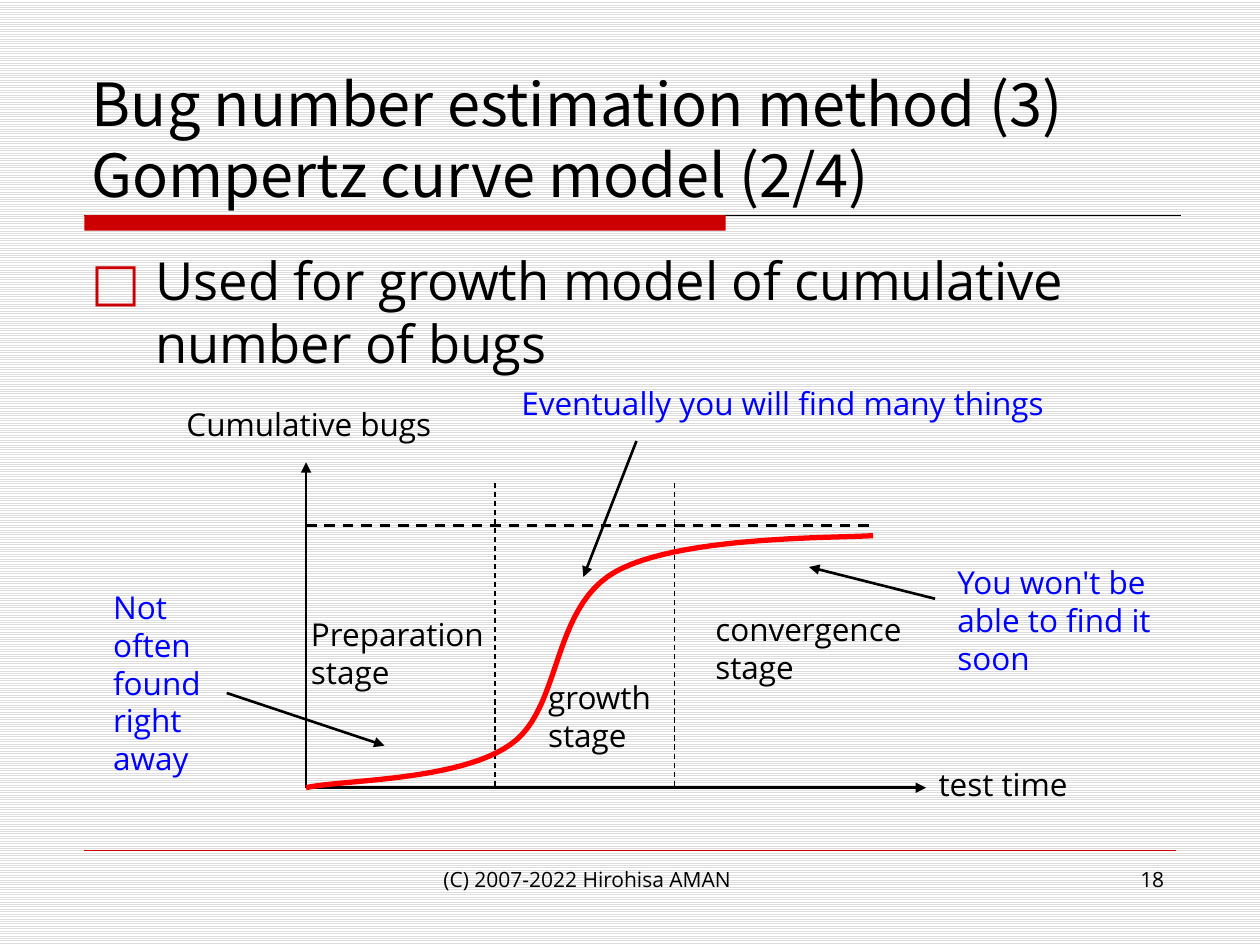
import pptx
import pptx.util
import pptx.dml.color
import pptx.enum.dml
import pptx.enum.shapes
import pptx.enum.text
import pptx.oxml
import pptx.oxml.ns

Cm, Pt = pptx.util.Cm, pptx.util.Pt
RGBColor = pptx.dml.color.RGBColor
PP_ALIGN = pptx.enum.text.PP_ALIGN
ANCHOR = pptx.enum.text.MSO_ANCHOR

BLACK = RGBColor(0x00, 0x00, 0x00)
WHITE = RGBColor(0xFF, 0xFF, 0xFF)
STRIPE = RGBColor(0xDD, 0xDD, 0xDD)
CRIMSON = RGBColor(0xCC, 0x00, 0x00)
RED = RGBColor(0xFF, 0x00, 0x00)
BLUE = RGBColor(0x00, 0x00, 0xFF)
LINE_HEIGHT = 1.2


def format_text(tf, size, color=BLACK, font="Open Sans"):
    tf.word_wrap = True
    for p in tf.paragraphs:
        p.line_spacing = Pt(size * LINE_HEIGHT)
        for r in p.runs:
            r.font.name = font
            r.font.size = Pt(size)
            r.font.color.rgb = color


def add_line(x1, y1, x2, y2, width=1.5, color=BLACK, dashed=False, arrow=False):
    """Draw a straight line between two points in centimetres."""
    s = slide.shapes.add_connector(
        pptx.enum.shapes.MSO_CONNECTOR.STRAIGHT, Cm(x1), Cm(y1), Cm(x2), Cm(y2))
    s.line.width = Pt(width)
    s.line.color.rgb = color
    if dashed:
        s.line.dash_style = pptx.enum.dml.MSO_LINE.DASH
    if arrow:
        tail = pptx.oxml.parse_xml(
            f'<a:tailEnd {pptx.oxml.ns.nsdecls("a")} type="triangle"/>')
        s.line._get_or_add_ln().append(tail)
    s._element.spPr.append(
        pptx.oxml.parse_xml(f'<a:effectLst {pptx.oxml.ns.nsdecls("a")}/>'))


prs = pptx.Presentation()
prs.slide_width, prs.slide_height = Cm(25.4), Cm(19.05)
slide = prs.slides.add_slide(prs.slide_layouts[1])

fill = slide.background.fill
fill.patterned()
fill.pattern = pptx.enum.dml.MSO_PATTERN.LIGHT_HORIZONTAL
fill.fore_color.rgb = STRIPE
fill.back_color.rgb = WHITE

# Rules under the title and above the footer
add_line(1.7, 4.34, 23.8, 4.34, 0.5)
s = slide.shapes.add_shape(
    pptx.enum.shapes.MSO_SHAPE.RECTANGLE, Cm(1.7), Cm(4.34), Cm(12.93), Cm(0.31))
s.shadow.inherit = False
s.fill.solid()
s.fill.fore_color.rgb = CRIMSON
s.line.fill.background()
add_line(1.7, 17.15, 23.7, 17.15, 0.25, CRIMSON)

# Title
title = slide.shapes.title
title.left, title.top, title.width, title.height = Cm(1.6), Cm(0.84), Cm(22.23), Cm(3.38)
tf = title.text_frame
tf.text = "Bug number estimation method (3)\vGompertz curve model (2/4)"
tf.vertical_anchor = ANCHOR.BOTTOM
tf.margin_bottom = 0
tf.paragraphs[0].alignment = PP_ALIGN.LEFT
format_text(tf, 34, font="Noto Sans CJK JP")

# Body
body = slide.placeholders[1]
body.left, body.top, body.width, body.height = Cm(1.58), Cm(4.88), Cm(22.23), Cm(11.86)
tf = body.text_frame
tf.text = "Used for growth model of cumulative number of bugs"
format_text(tf, 30)
p = tf.paragraphs[0]
p.space_before = Pt(6)
pPr = p._p.get_or_add_pPr()
pPr.set("marL", str(Cm(1.3)))
pPr.set("indent", str(Cm(-1.3)))
for bullet in (f'<a:buClr {{}}><a:srgbClr val="{CRIMSON}"/></a:buClr>',
               '<a:buFont {} typeface="Open Sans"/>',
               '<a:buChar {} char="□"/>'):
    pPr.append(pptx.oxml.parse_xml(bullet.format(pptx.oxml.ns.nsdecls("a"))))

# Axes, upper limit and stage borders
ORIGIN_X, ORIGIN_Y = 6.17, 15.88
CURVE_END = 17.6
add_line(ORIGIN_X, ORIGIN_Y, ORIGIN_X, 9.32, arrow=True)
add_line(ORIGIN_X, ORIGIN_Y, 18.67, ORIGIN_Y, arrow=True)
add_line(ORIGIN_X, 10.59, CURVE_END, 10.59, dashed=True)
for x in (9.98, 13.59):
    add_line(x, 9.73, x, ORIGIN_Y, 0.75, dashed=True)

# Gompertz curve: three Bezier segments, each sampled in short steps
STEPS = 24
segments = [
    ((6.86, 15.72), (9.25, 15.75), (10.29, 15.01)),
    ((11.33, 14.3), (11.1, 12.27), (12.4, 11.53)),
    ((13.67, 10.82), (16.64, 10.85), (CURVE_END, 10.8)),
]
start = (ORIGIN_X, ORIGIN_Y)
points = []
for c1, c2, end in segments:
    for i in range(1, STEPS + 1):
        t = i / STEPS
        weights = ((1 - t) ** 3, 3 * t * (1 - t) ** 2, 3 * t ** 2 * (1 - t), t ** 3)
        points.append(tuple(
            Cm(sum(w * c for w, c in zip(weights, coords)))
            for coords in zip(start, c1, c2, end)))
    start = end
builder = slide.shapes.build_freeform(Cm(ORIGIN_X), Cm(ORIGIN_Y))
builder.add_line_segments(points, close=False)
s = builder.convert_to_shape()
s.shadow.inherit = False
s.fill.background()
s.line.color.rgb = RED
s.line.width = Pt(3)

# Arrows from the comments to the curve
for x1, y1, x2, y2 in ((4.57, 13.97, 7.75, 15.03),
                       (12.83, 8.89, 11.76, 11.63),
                       (18.85, 12.07, 16.31, 11.43)):
    add_line(x1, y1, x2, y2, arrow=True)

# Labels, comments and footer: text, left, top, width, height, size, colour
texts = [
    ("Cumulative bugs", 3.51, 8.05, 5.92, 1.02, 18, BLACK),
    ("test time", 18.67, 15.29, 3.35, 1.02, 18, BLACK),
    ("Preparation\nstage", 6.02, 12.27, 4.22, 1.8, 18, BLACK),
    ("growth\nstage", 10.8, 13.54, 2.77, 1.8, 18, BLACK),
    ("convergence\nstage", 14.17, 12.17, 4.57, 1.8, 18, BLACK),
    ("Not often found right away", 2.03, 11.73, 2.54, 4.11, 18, BLUE),
    ("Eventually you will find many things", 10.26, 7.62, 12.19, 1.02, 18, BLUE),
    ("You won't be able to find it soon", 19.05, 11.23, 5.0, 2.57, 18, BLUE),
    ("(C) 2007-2022 Hirohisa AMAN", 8.69, 17.35, 8.05, 1.32, 12, BLACK),
    ("18", 18.21, 17.35, 5.51, 1.32, 12, BLACK),
]
for text, left, top, width, height, size, color in texts:
    sp = slide.shapes.add_textbox(Cm(left), Cm(top), Cm(width), Cm(height))
    sp.text_frame.text = text
    format_text(sp.text_frame, size, color)
sp.text_frame.paragraphs[0].alignment = PP_ALIGN.RIGHT  # slide number

prs.save("out.pptx")
